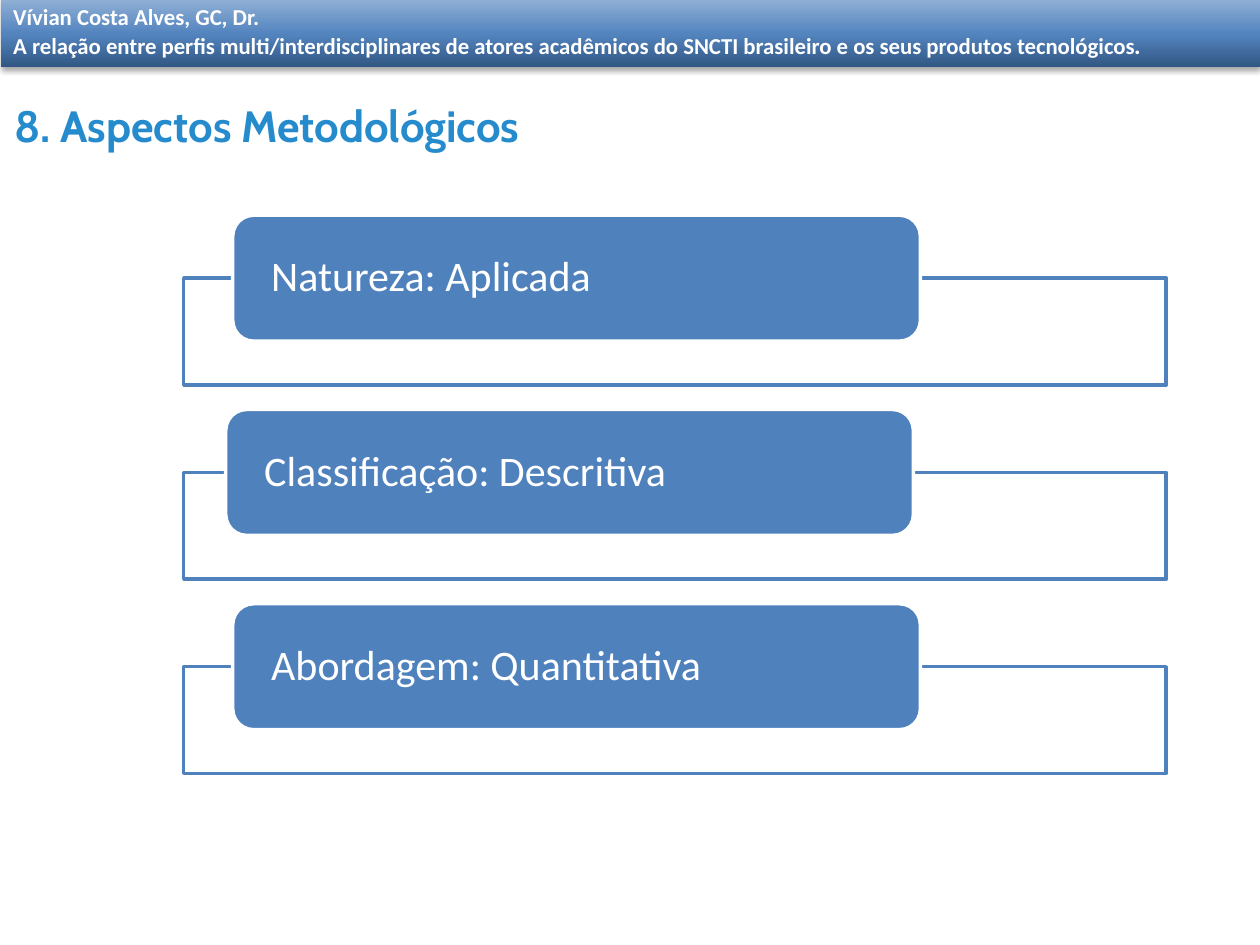
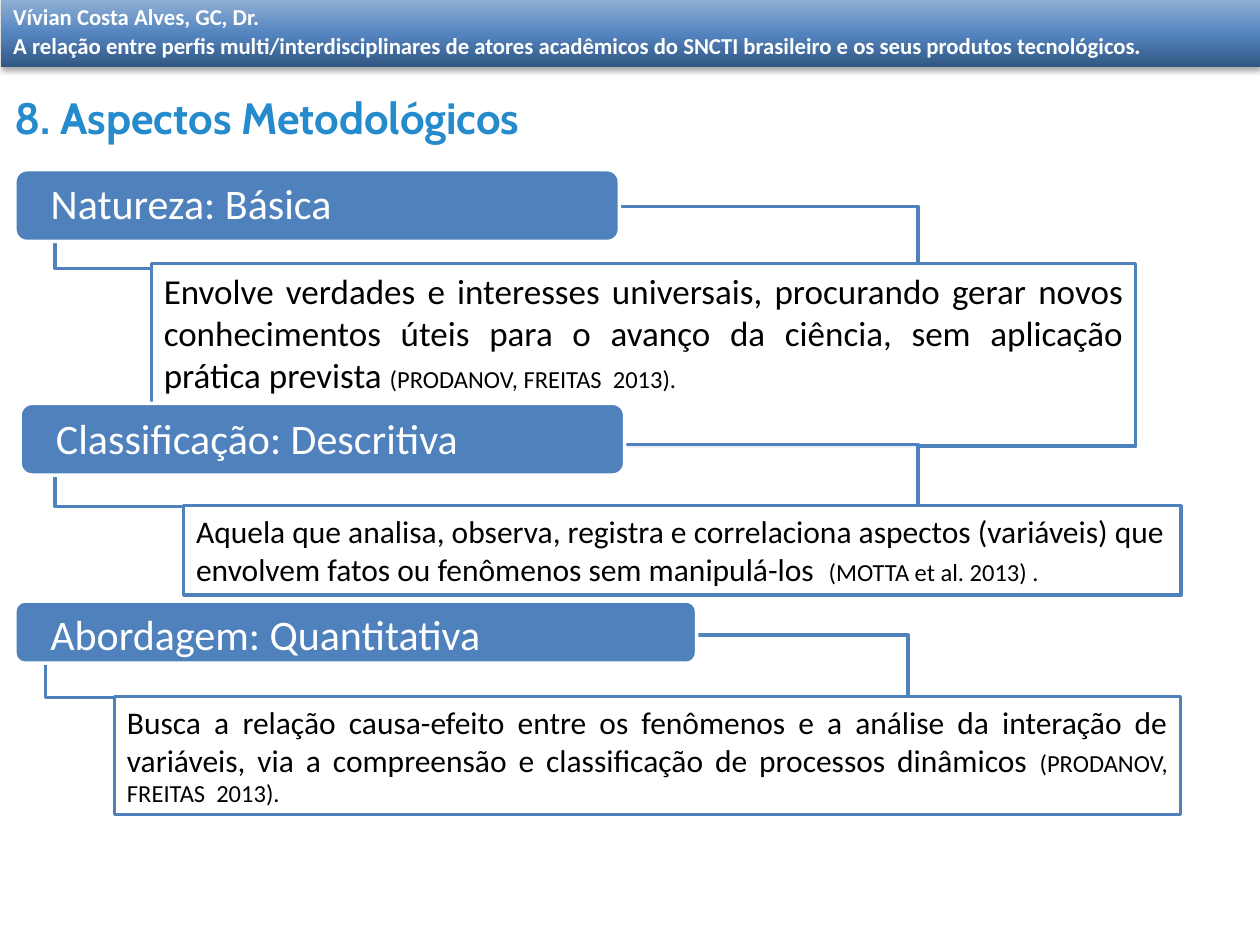
from pptx import Presentation
from pptx.dml.color import RGBColor
from pptx.enum.shapes import MSO_SHAPE
from pptx.enum.text import MSO_ANCHOR, MSO_AUTO_SIZE, PP_ALIGN
from pptx.oxml import parse_xml
from pptx.oxml.ns import nsdecls, qn
from pptx.util import Pt

RECTANGLE = MSO_SHAPE.RECTANGLE
ROUNDED = MSO_SHAPE.ROUNDED_RECTANGLE
TOP, MIDDLE = MSO_ANCHOR.TOP, MSO_ANCHOR.MIDDLE
LEFT, JUSTIFY = PP_ALIGN.LEFT, PP_ALIGN.JUSTIFY
NO_AUTOFIT = MSO_AUTO_SIZE.NONE

BLUE = RGBColor(0x4F, 0x81, 0xBD)
TITLE_BLUE = RGBColor(0x25, 0x8B, 0xCC)
WHITE = RGBColor(0xFF, 0xFF, 0xFF)
BLACK = RGBColor(0x00, 0x00, 0x00)

TITLE = "8. Aspectos Metodológicos"
AUTHOR = "Vívian Costa Alves, GC, Dr."
THESIS = ("A relação entre perfis multi/interdisciplinares de atores acadêmicos "
          "do SNCTI brasileiro e os seus produtos tecnológicos")

BAND_FILL = f"""<a:gradFill {nsdecls('a')} rotWithShape="1"><a:gsLst>
<a:gs pos="0"><a:srgbClr val="315683"/></a:gs>
<a:gs pos="48000"><a:srgbClr val="5485BF"/></a:gs>
<a:gs pos="100000"><a:srgbClr val="95B3D7"/></a:gs>
</a:gsLst><a:lin ang="16200000" scaled="0"/></a:gradFill>"""
BAND_SHADOW = f"""<a:outerShdw {nsdecls('a')} blurRad="39370" dist="22860" dir="5400000"
rotWithShape="0"><a:srgbClr val="000000"><a:alpha val="35000"/></a:srgbClr></a:outerShdw>"""


def add_box(page, kind, place, fill, line):
    box = page.shapes.add_shape(kind, *[Pt(length) for length in place])
    box.shadow.inherit = False
    box.fill.solid()
    box.fill.fore_color.rgb = fill
    box.line.color.rgb = line
    box.line.width = Pt(2)
    box.text_frame.word_wrap = True
    return box


def add_framed_label(page, frame_place, label_place, text, top_inset=0):
    """Outlined frame with a rounded heading box in front of it."""
    frame = add_box(page, RECTANGLE, frame_place, WHITE, BLUE)
    color = frame.fill._xPr.find(qn("a:solidFill"))[0]
    color.append(parse_xml(f'<a:alpha {nsdecls("a")} val="90000"/>'))

    label = add_box(page, ROUNDED, label_place, BLUE, WHITE)
    text_frame = label.text_frame
    text_frame.text = text
    text_frame.vertical_anchor = MIDDLE
    text_frame.margin_left = text_frame.margin_right = Pt(18.5)
    text_frame.margin_top, text_frame.margin_bottom = Pt(top_inset), 0
    para = text_frame.paragraphs[0]
    para.alignment = LEFT
    para.line_spacing = 0.9
    font = para.runs[0].font
    font.name, font.size, font.color.rgb = "Calibri", Pt(24), WHITE


deck = Presentation()
deck.slide_width, deck.slide_height = Pt(720), Pt(540)
layout = deck.slide_layouts[5]

# Titles
pages = []
for title_top, title_height in [(46, 51), (34, 65.5)]:
    page = deck.slides.add_slide(layout)
    title = page.shapes.title
    title.left, title.top = Pt(1), Pt(title_top)
    title.width, title.height = Pt(648), Pt(title_height)
    title.text_frame.text = TITLE
    title.text_frame.auto_size = NO_AUTOFIT
    title.text_frame.vertical_anchor = MIDDLE
    para = title.text_frame.paragraphs[0]
    para.alignment = LEFT
    font = para.runs[0].font
    font.name, font.size, font.bold = "Cabin", Pt(25), True
    font.color.rgb = TITLE_BLUE
    pages.append(page)
overview, details = pages

# Header band, moved to the layout so that both slides share it
band = add_box(overview, RECTANGLE, (0.5, -2, 719.5, 40.5), BLUE, BLUE)
band.line.fill.background()
properties = band.fill._xPr
properties.replace(properties.find(qn("a:solidFill")), parse_xml(BAND_FILL))
properties.find(qn("a:effectLst")).append(parse_xml(BAND_SHADOW))
band.text_frame.vertical_anchor = TOP
band.text_frame.text = f"{AUTHOR}\n{THESIS}"
full_stop = band.text_frame.paragraphs[1].add_run()
full_stop.text = "."
for para in band.text_frame.paragraphs:
    para.alignment = LEFT
    for span in para.runs:
        font = span.font
        font.name, font.size, font.bold = "Calibri", Pt(13), True
        font.color.rgb = WHITE
full_stop.font.size = Pt(14)
layout.shapes.element.append(band.element)

# Slide 1: three evenly spaced headings
headings = [("Natureza: Aplicada", 133), ("Classificação: Descritiva", 129),
            ("Abordagem: Quantitativa", 133)]
for row, (text, left) in enumerate(headings):
    top = 123 + 111 * row
    add_framed_label(overview, (105, top + 36, 561.5, 61), (left, top, 393, 72), text)

# Slide 2: each heading with its definition
# heading, top inset, frame corner, label place, note place, alignment, size, note, citation
definitions = [
    ("Natureza: Básica", 0, (31.5, 118), (8.5, 97, 345.5, 41),
     (86.5, 150.5, 562.5, 104.5), JUSTIFY, 20,
     "Envolve verdades e interesses universais, procurando gerar novos conhecimentos "
     "úteis para o avanço da ciência, sem aplicação prática prevista ",
     "(PRODANOV, FREITAS  2013)."),
    ("Classificação: Descritiva", 2, (31.5, 254), (11.5, 230.5, 345.5, 41),
     (105, 289, 570, 51), LEFT, 18,
     "Aquela que analisa, observa, registra e correlaciona aspectos (variáveis) que "
     "envolvem fatos ou fenômenos sem manipulá-los  ",
     "(MOTTA et al. 2013) ."),
    ("Abordagem: Quantitativa", 5, (26, 363), (8.5, 343.5, 389.5, 35.5),
     (65.5, 398, 609, 67.5), JUSTIFY, 18,
     "Busca a relação causa-efeito entre os fenômenos e a análise da interação de "
     "variáveis, via a compreensão e classificação de processos dinâmicos ",
     "(PRODANOV, FREITAS  2013)."),
]
for (heading, inset, corner, label_place, note_place,
     alignment, size, definition, citation) in definitions:
    add_framed_label(details, (*corner, 493, 35.5), label_place, heading, inset)
    note = add_box(details, RECTANGLE, note_place, WHITE, BLUE)
    note.text_frame.vertical_anchor = TOP
    para = note.text_frame.paragraphs[0]
    para.alignment = alignment
    for text, points in [(definition, size), (citation, 14)]:
        span = para.add_run()
        span.text = text
        font = span.font
        font.name, font.size, font.color.rgb = "Calibri", Pt(points), BLACK

deck.save("out.pptx")
